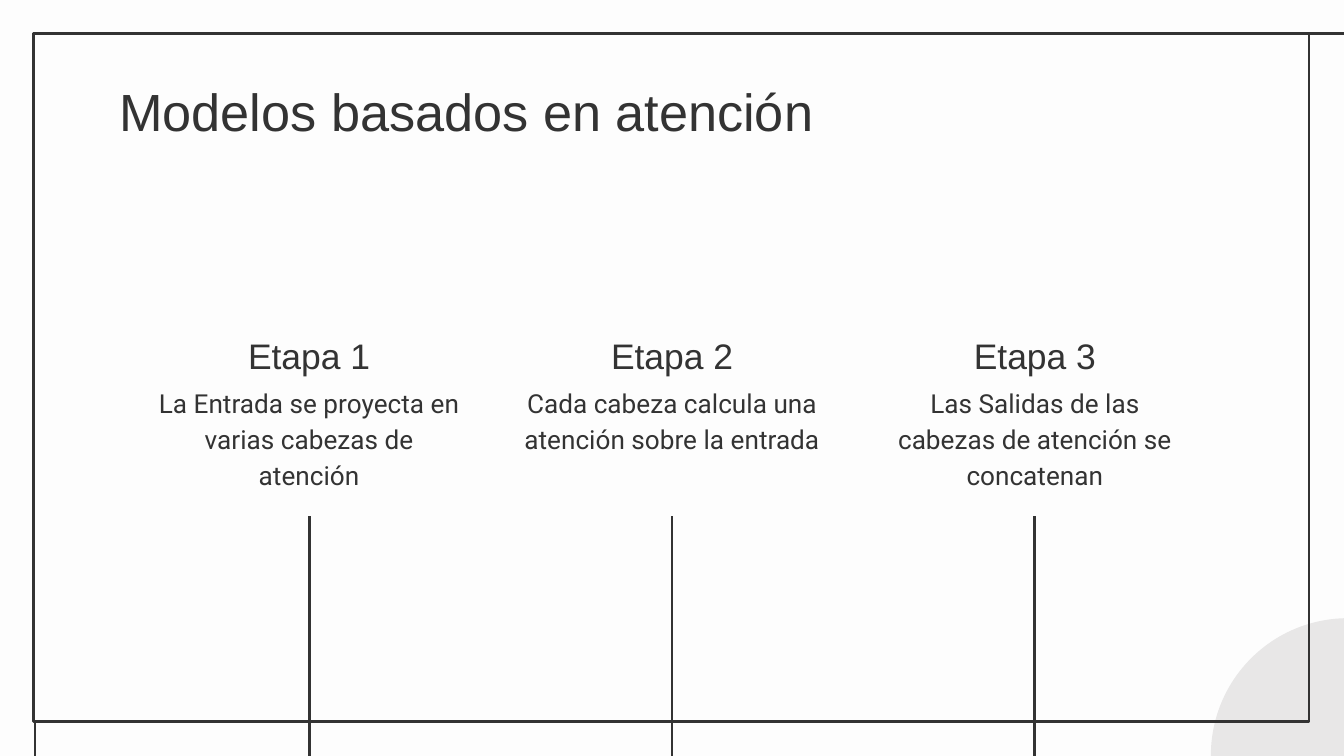
from pptx import Presentation
from pptx.dml.color import RGBColor
from pptx.enum.shapes import MSO_CONNECTOR as Connector, MSO_SHAPE as Shape
from pptx.enum.text import MSO_ANCHOR as Anchor, PP_ALIGN as Align
from pptx.oxml.ns import qn
from pptx.util import Inches, Pt
from lxml import etree

INK, PAPER, DISC = "333333", "FDFDFD", "E8E7E7"
STAGES = [
    ("Etapa 1", "La Entrada se proyecta en varias cabezas de atención"),
    ("Etapa 2", "Cada cabeza calcula una atención sobre la entrada"),
    ("Etapa 3", "Las Salidas de las cabezas de atención se concatenan"),
]


def color(value):
    return RGBColor.from_string(value)


def add_line(page, x1, y1, x2, y2):
    line = page.shapes.add_connector(
        Connector.STRAIGHT, Inches(x1), Inches(y1), Inches(x2), Inches(y2))
    line.line.color.rgb = color(INK)
    line.line.width = Pt(1.5)
    etree.SubElement(line._element.spPr, qn("a:effectLst"))


def add_shape(page, kind, left, top, width, height):
    shape = page.shapes.add_shape(
        kind, Inches(left), Inches(top), Inches(width), Inches(height))
    shape.shadow.inherit = False
    return shape


def add_text(page, text, left, top, width, height, size, font="Arial",
             align=Align.CENTER, anchor=Anchor.TOP, spacing=1.15):
    box = page.shapes.add_textbox(
        Inches(left), Inches(top), Inches(width), Inches(height))
    frame = box.text_frame
    frame.word_wrap = True
    frame.vertical_anchor = anchor
    frame.margin_left = frame.margin_right = Inches(0.1)
    frame.margin_top = frame.margin_bottom = Inches(0.1)
    para = frame.paragraphs[0]
    para.text = text
    para.alignment = align
    para.line_spacing = spacing
    para.font.size = Pt(size)
    para.font.name = font
    para.font.color.rgb = color(INK)


def add_frame(page, left, top, width, height):
    # Corner disc, partly hidden by the page edge
    disc = add_shape(page, Shape.OVAL, left + 8.76, top + 4.35, 2.04, 2.04)
    disc.fill.solid()
    disc.fill.fore_color.rgb = color(DISC)
    disc.line.fill.background()

    # Border, with two lines that run off the page
    border = add_shape(page, Shape.RECTANGLE, left, top, width, height)
    border.fill.background()
    border.line.color.rgb = color(INK)
    border.line.width = Pt(1.5)
    right, bottom = left + width, top + height
    add_line(page, right + 0.34, top, right, top)
    add_line(page, left + 0.01, bottom, left + 0.01, bottom + 0.34)


def add_stage(page, left, top, width, heading, body):
    add_text(page, body, left, top + 0.25, width, 1.09, 14, font="Roboto")
    add_text(page, heading, left, top, width, 0.4, 19, anchor=Anchor.BOTTOM)
    middle = left + width / 2
    add_line(page, middle, top + 1.34, middle, top + 3.19)


def main():
    # Widescreen page, 16 to 9
    deck = Presentation()
    deck.slide_width = Inches(10)
    deck.slide_height = deck.slide_width * 9 // 16
    page = deck.slides.add_slide(deck.slide_layouts[6])
    page.background.fill.solid()
    page.background.fill.fore_color.rgb = color(PAPER)

    add_frame(page, 0.25, 0.25, 9.49, 5.12)
    add_text(page, "Modelos basados en atención", 0.79, 0.49, 8.43, 0.63, 28,
             align=Align.LEFT, spacing=1)

    # Three equal columns, centred on the page
    width, step = 2.45, 2.7
    first = 5 - step - width / 2
    for index, (heading, body) in enumerate(STAGES):
        add_stage(page, first + index * step, 2.5, width, heading, body)

    deck.save("out.pptx")


if __name__ == "__main__":
    main()
